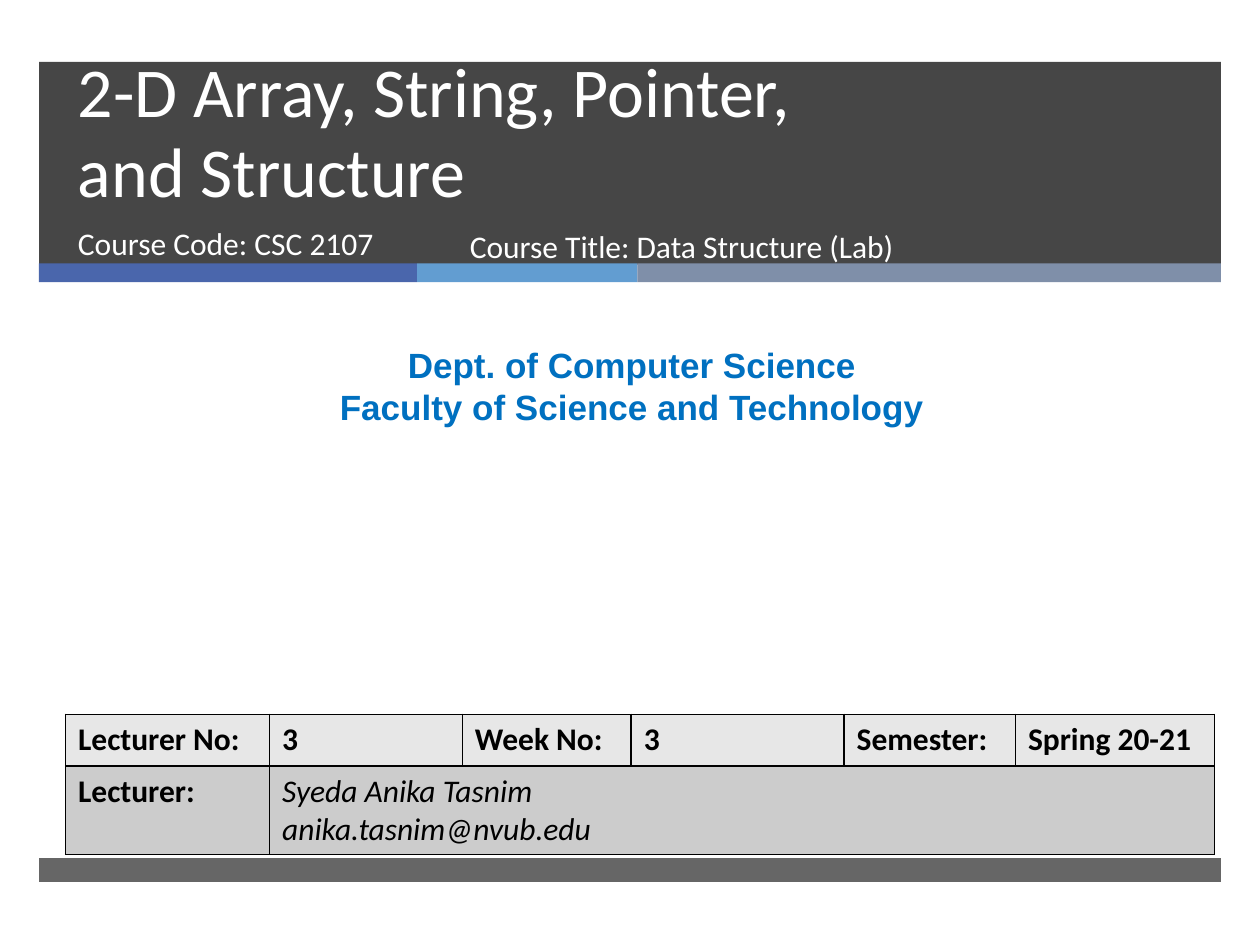
from dataclasses import dataclass

from lxml import etree
from pptx import Presentation
from pptx import util as u
from pptx.dml.color import RGBColor
from pptx.enum import shapes, text
from pptx.oxml import ns

COLORS = {
    "charcoal": "262626",
    "indigo": "4A66AC",
    "sky": "629DD1",
    "slate": "7F8FA9",
    "white": "FFFFFF",
    "blue": "0070C0",
    "black": "000000",
    "light_row": "E7E7E7",
    "dark_row": "CCCCCC",
}


@dataclass
class Bar:
    left: float
    top: float
    width: float
    height: float
    color: str
    opacity: int = 100


@dataclass
class Label:
    left: float
    top: float
    width: float
    height: float
    lines: list[str]
    size: int
    color: str = "white"
    font: str = "Calibri"
    bold: bool = False
    align: text.PP_ALIGN = text.PP_ALIGN.LEFT
    anchor: text.MSO_ANCHOR = text.MSO_ANCHOR.TOP
    line_points: float | None = None


BARS = [
    Bar(0.31, 0.49, 9.38, 1.61, "charcoal", 85),
    Bar(0.31, 2.09, 3, 0.15, "indigo"),
    Bar(3.31, 2.09, 1.75, 0.15, "sky"),
    Bar(5.06, 2.09, 4.63, 0.15, "slate"),
    Bar(0.31, 6.81, 9.38, 0.19, "charcoal", 70),
]

LABELS = [
    Label(0.52, 0.54, 8.54, 1.19, ["2-D Array, String, Pointer, \vand Structure"], 40,
          anchor=text.MSO_ANCHOR.BOTTOM, line_points=46),
    Label(0.52, 1.73, 3.05, 0.53, ["Course Code: CSC 2107"], 18),
    Label(3.63, 1.75, 4.55, 0.53, ["Course Title: Data Structure (Lab)"], 18),
    Label(0.08, 2.68, 9.87, 0.77,
          ["Dept. of Computer Science", "Faculty of Science and Technology"], 20,
          color="blue", font="Arial", bold=True, align=text.PP_ALIGN.CENTER),
]

COLUMN_WIDTHS = [1.62, 1.53, 1.34, 1.69, 1.36, 1.58]
ROW_HEIGHTS = [0.41, 0.7]
ROW_COLORS = ["light_row", "dark_row"]
LECTURE_ROWS = [
    ["Lecturer No:", "3", "Week No:", "3", "Semester:", "Spring 20-21"],
    ["Lecturer:", "Syeda Anika Tasnim\nanika.tasnim@nvub.edu"],
]


def rgb(name: str) -> RGBColor:
    return RGBColor.from_string(COLORS[name])


def style_font(font, name: str, size: int, color: str, bold: bool, italic: bool = False) -> None:
    font.name = name
    font.size = u.Pt(size)
    font.color.rgb = rgb(color)
    font.bold = bold
    font.italic = italic


def draw_bar(slide, bar: Bar) -> None:
    shape = slide.shapes.add_shape(
        shapes.MSO_SHAPE.RECTANGLE,
        u.Inches(bar.left), u.Inches(bar.top), u.Inches(bar.width), u.Inches(bar.height),
    )
    shape.shadow.inherit = False
    shape.line.fill.background()
    shape.fill.solid()
    shape.fill.fore_color.rgb = rgb(bar.color)
    if bar.opacity < 100:
        color = shape.element.spPr.find(ns.qn("a:solidFill"))[0]
        etree.SubElement(color, ns.qn("a:alpha"), val=str(bar.opacity * 1000))


def draw_label(slide, label: Label) -> None:
    shape = slide.shapes.add_textbox(
        u.Inches(label.left), u.Inches(label.top), u.Inches(label.width), u.Inches(label.height)
    )
    frame = shape.text_frame
    frame.word_wrap = True
    frame.vertical_anchor = label.anchor
    frame.text = "\n".join(label.lines)
    for paragraph in frame.paragraphs:
        paragraph.alignment = label.align
        if label.line_points:
            paragraph.line_spacing = u.Pt(label.line_points)
        style_font(paragraph.font, label.font, label.size, label.color, label.bold)


def add_borders(cell) -> None:
    properties = cell._tc.get_or_add_tcPr()
    for side in ("lnL", "lnR", "lnT", "lnB"):
        line = etree.SubElement(properties, ns.qn(f"a:{side}"), w=str(u.Pt(1)))
        fill = etree.SubElement(line, ns.qn("a:solidFill"))
        etree.SubElement(fill, ns.qn("a:srgbClr"), val=COLORS["black"])


def draw_lecture_table(slide) -> None:
    table = slide.shapes.add_table(
        len(ROW_HEIGHTS), len(COLUMN_WIDTHS), u.Inches(0.52), u.Inches(5.67),
        u.Inches(sum(COLUMN_WIDTHS)), u.Inches(sum(ROW_HEIGHTS)),
    ).table
    for column, width in zip(table.columns, COLUMN_WIDTHS):
        column.width = u.Inches(width)
    for row, height, color in zip(table.rows, ROW_HEIGHTS, ROW_COLORS):
        row.height = u.Inches(height)
        for cell in row.cells:
            add_borders(cell)
            cell.fill.solid()
            cell.fill.fore_color.rgb = rgb(color)
    lecturer = table.cell(1, 1)
    lecturer.merge(table.cell(1, len(COLUMN_WIDTHS) - 1))
    for row_index, values in enumerate(LECTURE_ROWS):
        for column_index, value in enumerate(values):
            cell = table.cell(row_index, column_index)
            cell.text = value
            for paragraph in cell.text_frame.paragraphs:
                style_font(paragraph.font, "Calibri", 18, "black",
                           bold=not cell.is_merge_origin, italic=cell.is_merge_origin)


def main() -> None:
    presentation = Presentation()
    presentation.slide_width = u.Inches(10)
    presentation.slide_height = u.Inches(7.5)
    slide = presentation.slides.add_slide(presentation.slide_layouts[6])
    for bar in BARS:
        draw_bar(slide, bar)
    for label in LABELS:
        draw_label(slide, label)
    draw_lecture_table(slide)
    presentation.save("out.pptx")


if __name__ == "__main__":
    main()
